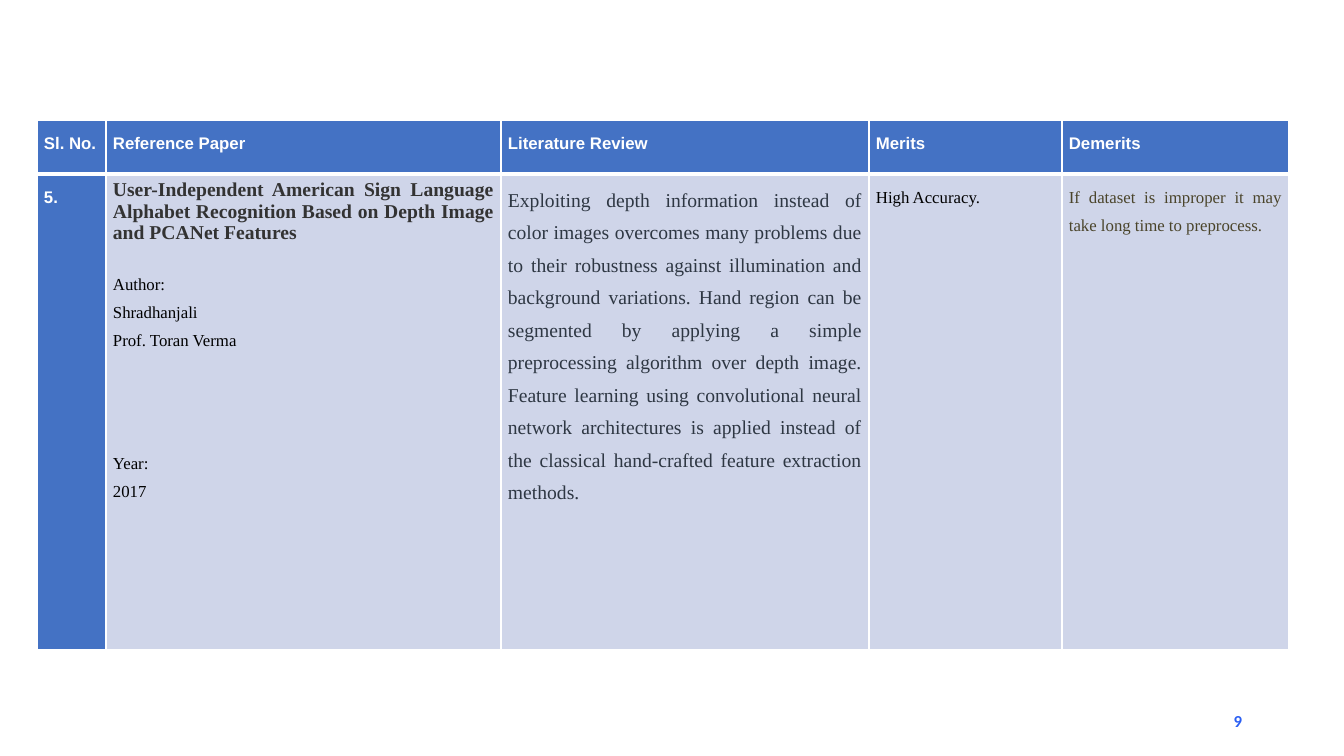
from lxml import etree
from pptx import Presentation
from pptx import util as u
from pptx.dml.color import RGBColor
from pptx.enum import text
from pptx.oxml import ns

PX = 914400 / 100.8
WHITE = RGBColor(0xFF, 0xFF, 0xFF)
BLACK = RGBColor(0x00, 0x00, 0x00)
BLUE = RGBColor(0x44, 0x72, 0xC4)
PALE = RGBColor(0xCF, 0xD5, 0xE9)
GREY = RGBColor(0x33, 0x33, 0x33)
SLATE = RGBColor(0x2E, 0x37, 0x43)
OLIVE = RGBColor(0x4A, 0x44, 0x2A)
PAGE = RGBColor(0x2B, 0x5F, 0xF3)
SERIF = "Times New Roman"


def px(*sizes):
    """Turn pixel lengths into EMU."""
    return [round(size * PX) for size in sizes]


def style(para, font, size, color, bold=False):
    for run in para.runs:
        run.font.name = font
        run.font.size = u.Pt(size)
        run.font.color.rgb = color
        run.font.bold = bold


deck = Presentation()
deck.slide_width, deck.slide_height = px(1344, 756)
slide = deck.slides.add_slide(deck.slide_layouts[6])

# Wording: each body cell is a list of (text, size, color, bold, line spacing, space before)
heads = ["Sl. No.", "Reference Paper", "Literature Review", "Merits", "Demerits"]
title = ("User-Independent American Sign Language Alphabet Recognition "
         "Based on Depth Image and PCANet Features")
review = ("Exploiting depth information instead of color images overcomes many "
          "problems due to their robustness against illumination and background "
          "variations. Hand region can be segmented by applying a simple "
          "preprocessing algorithm over depth image. Feature learning using "
          "convolutional neural network architectures is applied instead of the "
          "classical hand-crafted feature extraction methods.")
paper = [
    (title, 14, GREY, True, 1.0, 0),
    ("Author:", 12, BLACK, False, 1.5, 16),
    ("Shradhanjali", 12, BLACK, False, 1.5, 0),
    ("Prof. Toran Verma", 12, BLACK, False, 1.5, 0),
    ("Year:", 12, BLACK, False, 1.5, 68),
    ("2017", 12, BLACK, False, 1.5, 0),
]
demerit = "If dataset is improper it may take long time to preprocess."
body = [
    [("5.", 12, WHITE, True, 1.5, 0)],
    paper,
    [(review, 14, SLATE, False, 1.5, 0)],
    [("High Accuracy.", 12, BLACK, False, 1.5, 0)],
    [(demerit, 12, OLIVE, False, 1.5, 0)],
]
rows = [[[(head, 12, WHITE, True, 1.5, 0)] for head in heads], body]

# Table
widths = [69, 395, 368, 193, 227]
heights = [54, 476]
frame = slide.shapes.add_table(
    len(rows), len(widths), *px(37, 120, sum(widths), sum(heights)))
table = frame.table
for col, width in zip(table.columns, px(*widths)):
    col.width = width
for row, height in zip(table.rows, px(*heights)):
    row.height = height

for r, row in enumerate(rows):
    for c, lines in enumerate(row):
        cell = table.cell(r, c)
        cell.margin_left, cell.margin_right = px(7, 7)
        cell.margin_top, cell.margin_bottom = px(5, 5)
        cell.fill.solid()
        cell.fill.fore_color.rgb = BLUE if r == 0 or c == 0 else PALE

        cell.text_frame.text = "\n".join(line[0] for line in lines)
        for para, line in zip(cell.text_frame.paragraphs, lines):
            _, size, color, bold, space, gap = line
            para.alignment = text.PP_ALIGN.JUSTIFY
            para.line_spacing = space
            para.space_before = u.Pt(gap)
            style(para, "Arial" if r == 0 or c == 0 else SERIF, size, color, bold)

        # Borders: a thick rule divides the header from the body
        thick = "lnB" if r == 0 else "lnT"
        props = cell._tc.get_or_add_tcPr()
        for i, side in enumerate(["lnL", "lnR", "lnT", "lnB"]):
            line = etree.Element(ns.qn("a:" + side))
            line.set("w", str(u.Pt(3 if side == thick else 0.96)))
            fill = etree.SubElement(line, ns.qn("a:solidFill"))
            etree.SubElement(fill, ns.qn("a:srgbClr")).set("val", str(WHITE))
            props.insert(i, line)

# Page number
box = slide.shapes.add_textbox(*px(950, 701, 302, 40)).text_frame
box.word_wrap = True
box.vertical_anchor = text.MSO_ANCHOR.MIDDLE
box.text = "9"
box.paragraphs[0].alignment = text.PP_ALIGN.RIGHT
style(box.paragraphs[0], "Calibri", 12, PAGE, True)

deck.save("out.pptx")
